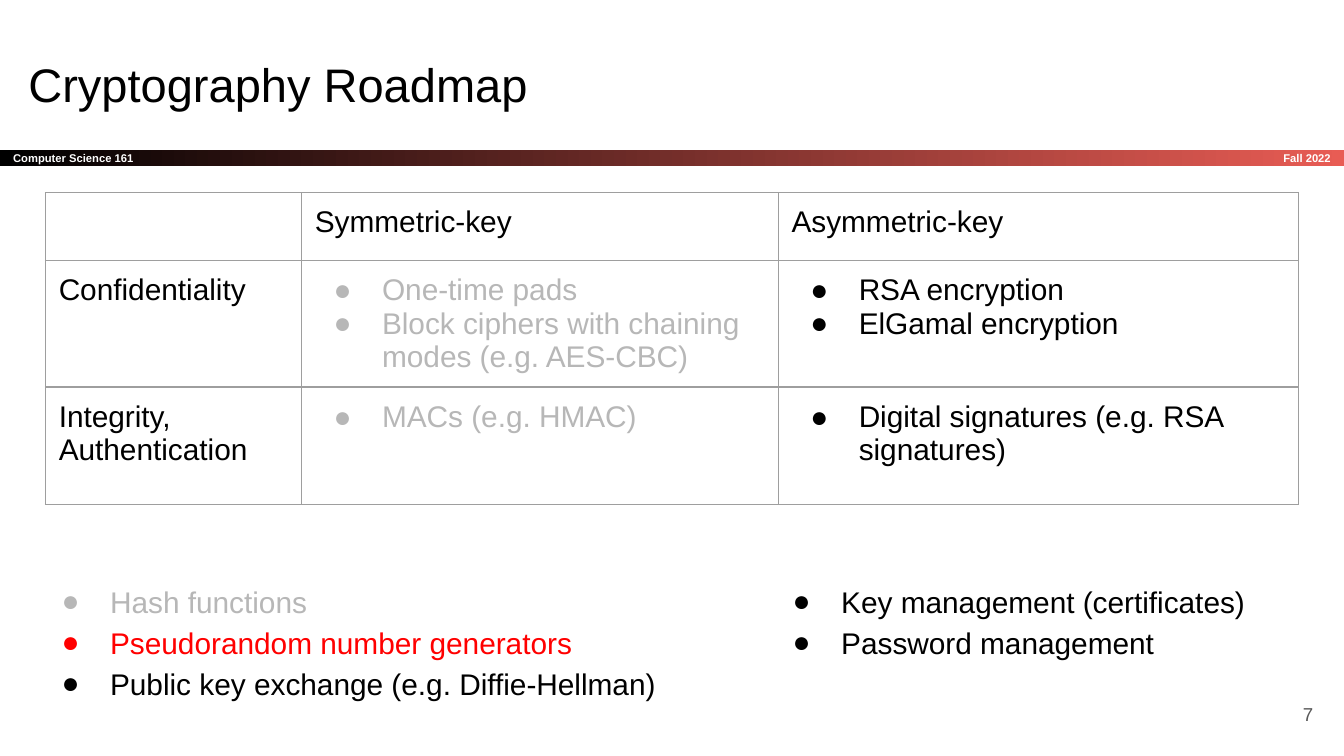
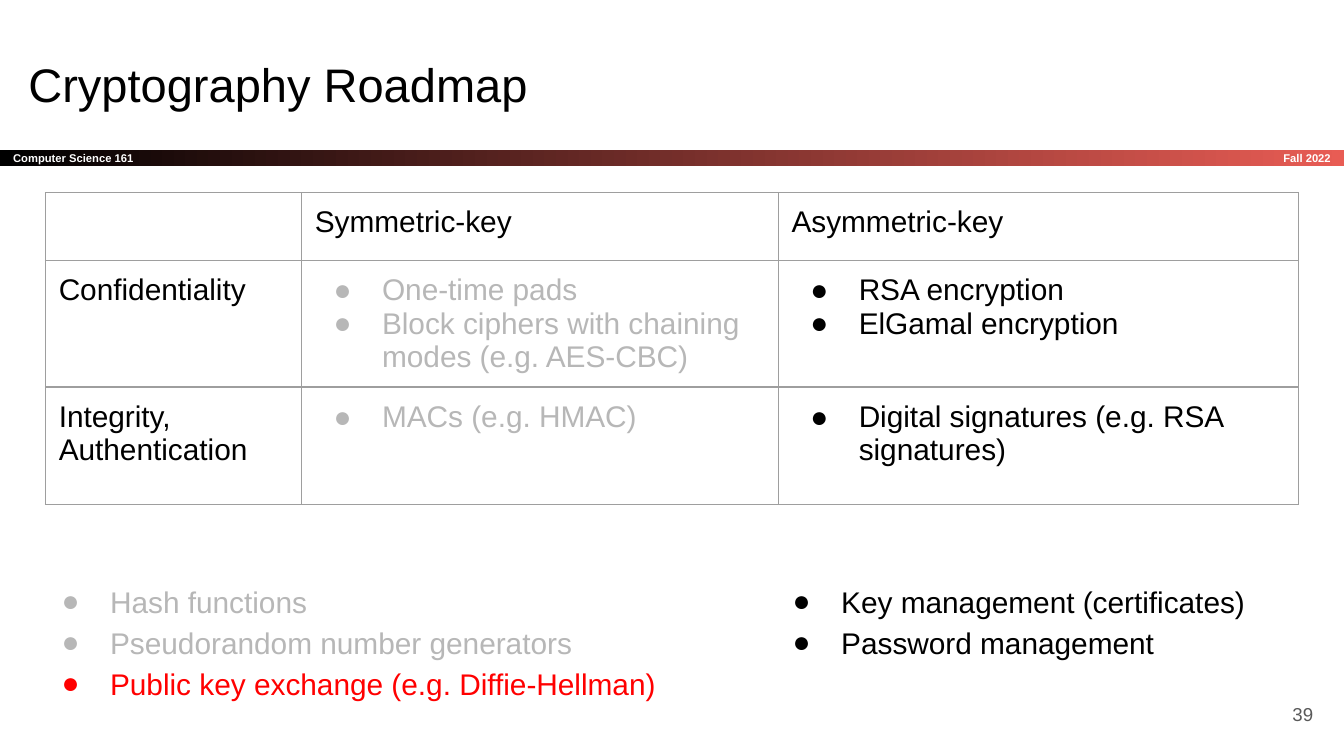
from lxml.etree import SubElement
from pptx import Presentation
from pptx.dml.color import RGBColor
from pptx.enum.shapes import MSO_SHAPE
from pptx.enum.text import MSO_ANCHOR as Anchor, MSO_AUTO_SIZE as AutoSize, PP_ALIGN as Align
from pptx.oxml.ns import qn
from pptx.util import Pt

TITLE = "Cryptography Roadmap"
COURSE = "Computer Science 161"
TERM = "Fall 2022"
TABLE_HEADER = ["", "Symmetric-key", "Asymmetric-key"]
TABLE_ROWS = [
    (
        "Confidentiality",
        ["One-time pads", "Block ciphers with chaining modes (e.g. AES-CBC)"],
        ["RSA encryption", "ElGamal encryption"],
    ),
    (
        "Integrity,\nAuthentication",
        ["MACs (e.g. HMAC)"],
        ["Digital signatures (e.g. RSA signatures)"],
    ),
]
TOPICS = [
    "Hash functions",
    "Pseudorandom number generators",
    "Public key exchange (e.g. Diffie-Hellman)",
]
LATER_TOPICS = ["Key management (certificates)", "Password management"]
SLIDES = [
    {"number": 7, "current": "Pseudorandom number generators"},
    {"number": 39, "current": "Public key exchange (e.g. Diffie-Hellman)"},
]

FONT = "Arial"
BLACK, WHITE = "000000", "FFFFFF"
DONE, CURRENT, UPCOMING = "B7B7B7", "FF0000", BLACK
BAND_END, GRID, NUMBER = "E85C54", "9E9E9E", "595959"

PAGE_WIDTH, PAGE_HEIGHT = 720, 405
INSET = 7.2
TEXT_SIZE = 16
BAND_TOP, BAND_HEIGHT = 80.2, 8.6
TERM_WIDTH = 119.5
LIST_TOP = 302.4
COLUMN_WIDTHS = [137.2, 255.4, 278.9]
ROW_HEIGHTS = [34.3, 67.8, 63]


def rgb(code):
    return RGBColor.from_string(code)


def place(shape, left, top, width, height):
    shape.left, shape.top = Pt(left), Pt(top)
    shape.width, shape.height = Pt(width), Pt(height)


def set_margins(target):
    target.margin_left = target.margin_right = Pt(INSET)
    target.margin_top = target.margin_bottom = Pt(INSET)


def add_bullet(para, color):
    props = para._p.get_or_add_pPr()
    props.set("marL", str(Pt(36)))
    props.set("indent", str(Pt(-26)))
    SubElement(SubElement(props, qn("a:buClr")), qn("a:srgbClr"), val=color)
    SubElement(props, qn("a:buFont"), typeface=FONT)
    SubElement(props, qn("a:buChar"), char="●")


def write(frame, text, size=TEXT_SIZE, color=BLACK, bold=False, align=Align.LEFT,
          bullet=False, spacing=1.0, first=True):
    para = frame.paragraphs[0] if first else frame.add_paragraph()
    if bullet:
        add_bullet(para, color)
    para.text = text
    para.alignment = align
    para.line_spacing = spacing
    para.space_before = para.space_after = Pt(0)
    for span in para.runs:
        span.font.name = FONT
        span.font.size = Pt(size)
        span.font.bold = bold
        span.font.color.rgb = rgb(color)


def write_list(frame, items, spacing=1.0):
    for index, (text, color) in enumerate(items):
        write(frame, text, color=color, bullet=True, spacing=spacing, first=index == 0)


def prepare(shape, anchor=Anchor.TOP):
    frame = shape.text_frame
    frame.word_wrap = True
    frame.auto_size = AutoSize.NONE
    frame.vertical_anchor = anchor
    set_margins(frame)
    return frame


def add_box(page, left, top, width, height, anchor=Anchor.TOP):
    box = page.shapes.add_textbox(Pt(left), Pt(top), Pt(width), Pt(height))
    return prepare(box, anchor)


def add_band(page):
    band = page.shapes.add_shape(
        MSO_SHAPE.RECTANGLE, 0, Pt(BAND_TOP), Pt(PAGE_WIDTH), Pt(BAND_HEIGHT))
    band.shadow.inherit = False
    band.line.fill.background()
    band.fill.gradient()
    band.fill.gradient_angle = 0
    for stop, position, color in zip(band.fill.gradient_stops, (0, 1), (BLACK, BAND_END)):
        stop.position = position
        stop.color.rgb = rgb(color)
    write(prepare(band, Anchor.MIDDLE), COURSE, size=6, color=WHITE, bold=True)
    term = add_box(page, PAGE_WIDTH - TERM_WIDTH, BAND_TOP, TERM_WIDTH, BAND_HEIGHT,
                   Anchor.MIDDLE)
    write(term, TERM, size=6, color=WHITE, bold=True, align=Align.RIGHT)


def style_cell(cell):
    set_margins(cell)
    props = cell._tc.get_or_add_tcPr()
    for side in ("lnL", "lnR", "lnT", "lnB"):
        line = SubElement(props, qn(f"a:{side}"), w=str(Pt(0.75)))
        SubElement(SubElement(line, qn("a:solidFill")), qn("a:srgbClr"), val=GRID)
    cell.fill.background()


def add_roadmap_table(page):
    table = page.shapes.add_table(
        len(ROW_HEIGHTS), len(COLUMN_WIDTHS), Pt(24.3), Pt(103.2),
        Pt(sum(COLUMN_WIDTHS)), Pt(sum(ROW_HEIGHTS))).table
    table.first_row = table.horz_banding = False
    for column, width in zip(table.columns, COLUMN_WIDTHS):
        column.width = Pt(width)
    for row, height in zip(table.rows, ROW_HEIGHTS):
        row.height = Pt(height)
    for r, contents in enumerate([TABLE_HEADER, *TABLE_ROWS]):
        for c, content in enumerate(contents):
            cell = table.cell(r, c)
            style_cell(cell)
            if isinstance(content, list):
                color = DONE if c == 1 else UPCOMING
                write_list(cell.text_frame, [(text, color) for text in content])
            elif content:
                write(cell.text_frame, content)


def topic_color(topic, current):
    position, now = TOPICS.index(topic), TOPICS.index(current)
    if position == now:
        return CURRENT
    return DONE if position < now else UPCOMING


def add_page(deck, number, current):
    page = deck.slides.add_slide(deck.slide_layouts[1])
    title, body = page.placeholders
    add_band(page)
    place(title, 8, 21.6, 671, 45.4)
    write(prepare(title, Anchor.BOTTOM), TITLE, size=25.2)
    add_roadmap_table(page)
    place(body, 15.8, LIST_TOP, 344.2, 92.2)
    write_list(prepare(body), [(topic, topic_color(topic, current)) for topic in TOPICS],
               spacing=1.15)
    later = add_box(page, 407.6, LIST_TOP, 271.4, 56.2)
    write_list(later, [(topic, UPCOMING) for topic in LATER_TOPICS], spacing=1.15)
    number_box = add_box(page, 667.4, 367.2, 43.2, 31, Anchor.MIDDLE)
    write(number_box, str(number), size=10, color=NUMBER, align=Align.RIGHT)


def main():
    deck = Presentation()
    deck.slide_width, deck.slide_height = Pt(PAGE_WIDTH), Pt(PAGE_HEIGHT)
    for slide in SLIDES:
        add_page(deck, **slide)
    deck.save("out.pptx")


if __name__ == "__main__":
    main()
